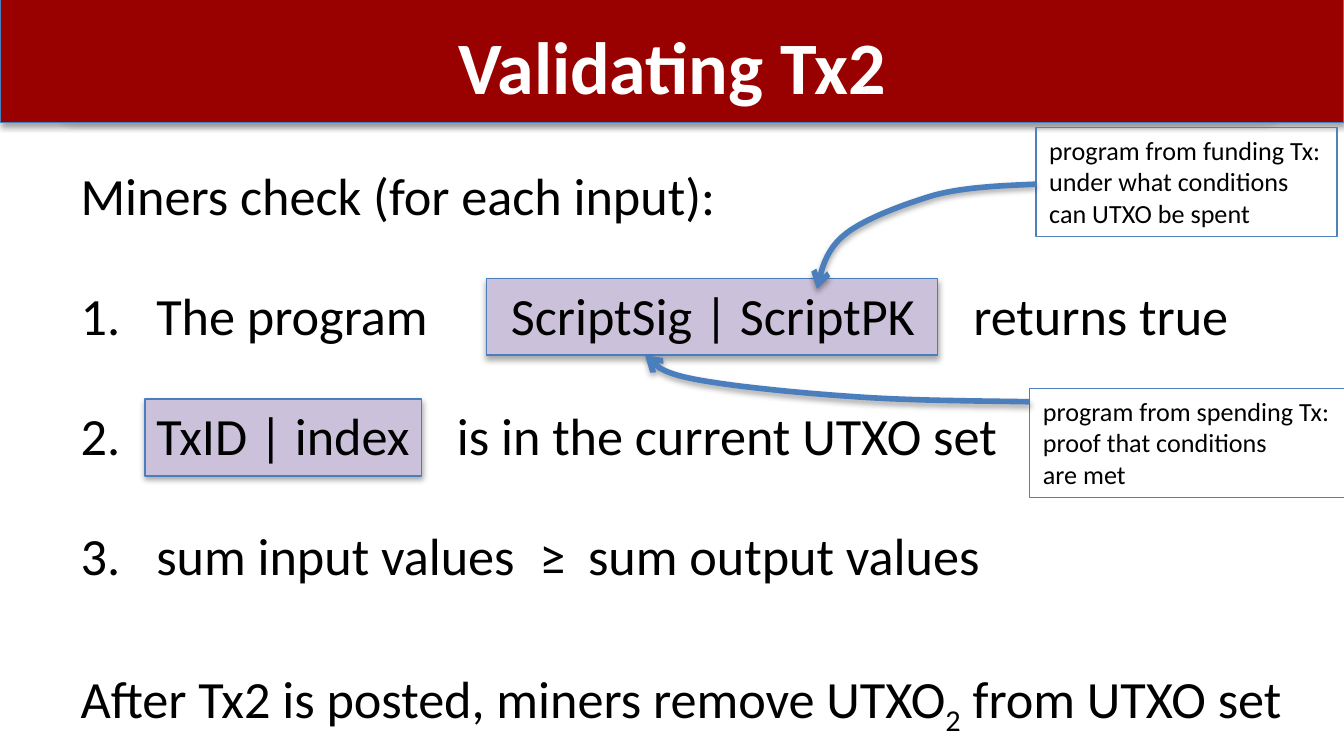
import dataclasses

import pptx
import pptx.dml.color
import pptx.enum.shapes
import pptx.enum.text
import pptx.oxml
import pptx.oxml.ns
import pptx.util
from pptx.util import Cm, Pt

Align = pptx.enum.text.PP_ALIGN
Anchor = pptx.enum.text.MSO_ANCHOR
Fit = pptx.enum.text.MSO_AUTO_SIZE
Shape = pptx.enum.shapes.MSO_SHAPE


@dataclasses.dataclass(frozen=True)
class Theme:
    font: str = "Calibri"
    title_size: float = 39.6
    body_size: float = 28
    note_size: float = 14
    text: str = "000000"
    title_text: str = "FFFFFF"
    banner: str = "990000"
    banner_edge: str = "7D60A0"
    highlight: str = "CCC1DA"
    edge: str = "4B7EBC"
    note_edge: str = "4F81BD"


THEME = Theme()
INDENT = Cm(1.43)


def rgb(code):
    return pptx.dml.color.RGBColor.from_string(code)


def add_xml(parent, markup):
    """Append a DrawingML element, given without its namespace declaration."""
    tag, rest = markup.split(" ", 1)
    parent.append(pptx.oxml.parse_xml(f"{tag} {pptx.oxml.ns.nsdecls('a')} {rest}"))


def add_text(para, text, size=THEME.body_size, color=THEME.text, bold=False, subscript=False):
    span = para.add_run()
    span.text = text
    span.font.name = THEME.font
    span.font.size = Pt(size)
    span.font.bold = bold
    span.font.color.rgb = rgb(color)
    if subscript:
        span.font._element.set("baseline", "-25000")


def add_shadow(shape):
    add_xml(shape.element.spPr,
            '<a:effectLst ><a:outerShdw blurRad="40000" dist="23000" dir="5400000" rotWithShape="0">'
            '<a:srgbClr val="000000"><a:alpha val="35000"/></a:srgbClr></a:outerShdw></a:effectLst>')


def set_line(shape, color, width=0.75):
    shape.line.color.rgb = rgb(color)
    shape.line.width = Pt(width)


def add_panel(page, place, fill=None, edge=THEME.edge, kind=Shape.RECTANGLE):
    panel = page.shapes.add_shape(kind, *map(Cm, place))
    if fill:
        panel.fill.solid()
        panel.fill.fore_color.rgb = rgb(fill)
    else:
        panel.fill.background()
    set_line(panel, edge)
    add_shadow(panel)


def place_placeholder(page, holder, place, anchor):
    """Move a placeholder in front of the panels and return its text frame."""
    holder.left, holder.top, holder.width, holder.height = map(Cm, place)
    page.shapes.element.append(holder.element)
    frame = holder.text_frame
    frame.auto_size = Fit.NONE
    frame.vertical_anchor = anchor
    return frame


def add_item(frame, text, gap=0, numbered=False, tabs=()):
    """Fill the first paragraph or add one; tabs are in cm from the text edge."""
    para = frame.paragraphs[0]
    if para.runs:
        para = frame.add_paragraph()
    para.space_before = Pt(gap)
    properties = para._p.get_or_add_pPr()
    properties.set("marL", str(INDENT if numbered else 0))
    properties.set("indent", str(-INDENT if numbered else 0))
    if numbered:
        add_xml(properties, '<a:buFont typeface="+mj-lt"/>')
        add_xml(properties, '<a:buAutoNum type="arabicPeriod"/>')
    else:
        add_xml(properties, "<a:buNone />")
    if tabs:
        stops = "".join(f'<a:tab pos="{Cm(stop)}" algn="l"/>' for stop in tabs)
        add_xml(properties, f"<a:tabLst >{stops}</a:tabLst>")
    add_text(para, text)
    return para


def add_note(page, place, *paragraphs):
    """Add an outlined note; each paragraph is a list of lines."""
    box = page.shapes.add_textbox(*map(Cm, place))
    set_line(box, THEME.note_edge)
    frame = box.text_frame
    frame.word_wrap = False
    frame.auto_size = Fit.SHAPE_TO_FIT_TEXT
    for number, lines in enumerate(paragraphs):
        para = frame.add_paragraph() if number else frame.paragraphs[0]
        for row, line in enumerate(lines):
            if row:
                para.add_line_break()
            add_text(para, line, size=THEME.note_size)


def curve_points(start, curves, steps=16):
    """Sample a chain of cubic Bézier curves."""
    points = []
    for first, second, end in curves:
        for step in range(1, steps + 1):
            t = step / steps
            weights = ((1 - t) ** 3, 3 * t * (1 - t) ** 2, 3 * t * t * (1 - t), t ** 3)
            corners = (start, first, second, end)
            points.append(tuple(Cm(sum(w * corner[axis] for w, corner in zip(weights, corners)))
                                for axis in (0, 1)))
        start = end
    return points


def add_curved_arrow(page, start, *curves):
    builder = page.shapes.build_freeform(Cm(start[0]), Cm(start[1]))
    builder.add_line_segments(curve_points(start, curves), close=False)
    arrow = builder.convert_to_shape()
    arrow.fill.background()
    set_line(arrow, THEME.edge, width=3)
    add_xml(arrow.line._get_or_add_ln(), '<a:tailEnd type="arrow"/>')
    add_shadow(arrow)


def main():
    deck = pptx.Presentation()
    deck.slide_width, deck.slide_height = Cm(25.4), Cm(14.28)
    page = deck.slides.add_slide(deck.slide_layouts[1])
    title, body = page.placeholders

    add_panel(page, (1.02, 0, 23.19, 2.26), edge=THEME.banner_edge, kind=Shape.ROUNDED_RECTANGLE)
    add_panel(page, (0, -0.03, 25.4, 2.34), THEME.banner)
    add_panel(page, (2.74, 7.54, 5.23, 1.45), THEME.highlight)
    add_panel(page, (9.19, 5.26, 8.53, 1.45), THEME.highlight)

    frame = place_placeholder(page, title, (1.27, 0.36, 22.86, 1.73), Anchor.MIDDLE)
    frame.word_wrap = False
    frame.paragraphs[0].alignment = Align.CENTER
    add_text(frame.paragraphs[0], "Validating Tx2", size=THEME.title_size,
             color=THEME.title_text, bold=True)

    frame = place_placeholder(page, body, (1.27, 2.95, 23.72, 11.35), Anchor.TOP)
    add_item(frame, "Miners check (for each input):")
    for text, tabs in (("The program\tScriptSig | ScriptPK\treturns true", (8.13, 16.87)),
                       ("TxID | index\tis in the current UTXO set", (7.11,)),
                       ("sum input values\t≥\tsum output values", (8.67, 9.59))):
        add_item(frame, text, gap=30.7, numbered=True, tabs=tabs)
    closing = add_item(frame, "After Tx2 is posted, miners remove UTXO", gap=42.7)
    add_text(closing, "2", subscript=True)
    add_text(closing, " from UTXO set")

    add_note(page, (19.58, 2.41, 5.69, 2.06),
             ["program from funding Tx:", "under what conditions"], ["can UTXO be spent"])
    add_curved_arrow(page, (19.58, 3.48),
                     ((18.92, 3.51), (18.29, 3.53), (17.68, 3.68)),
                     ((17.07, 3.86), (16.33, 4.14), (15.98, 4.42)),
                     ((15.6, 4.72), (15.52, 5.11), (15.44, 5.46)))
    add_note(page, (19.46, 7.34, 5.97, 2.06),
             ["program from spending Tx:", "proof that conditions", "are met"])
    add_curved_arrow(page, (19.46, 7.59),
                     ((18.31, 7.57), (17.17, 7.57), (16.1, 7.49)),
                     ((15.04, 7.42), (13.77, 7.29), (13.11, 7.16)),
                     ((12.47, 7.04), (12.32, 6.86), (12.19, 6.71)))
    deck.save("out.pptx")


if __name__ == "__main__":
    main()
